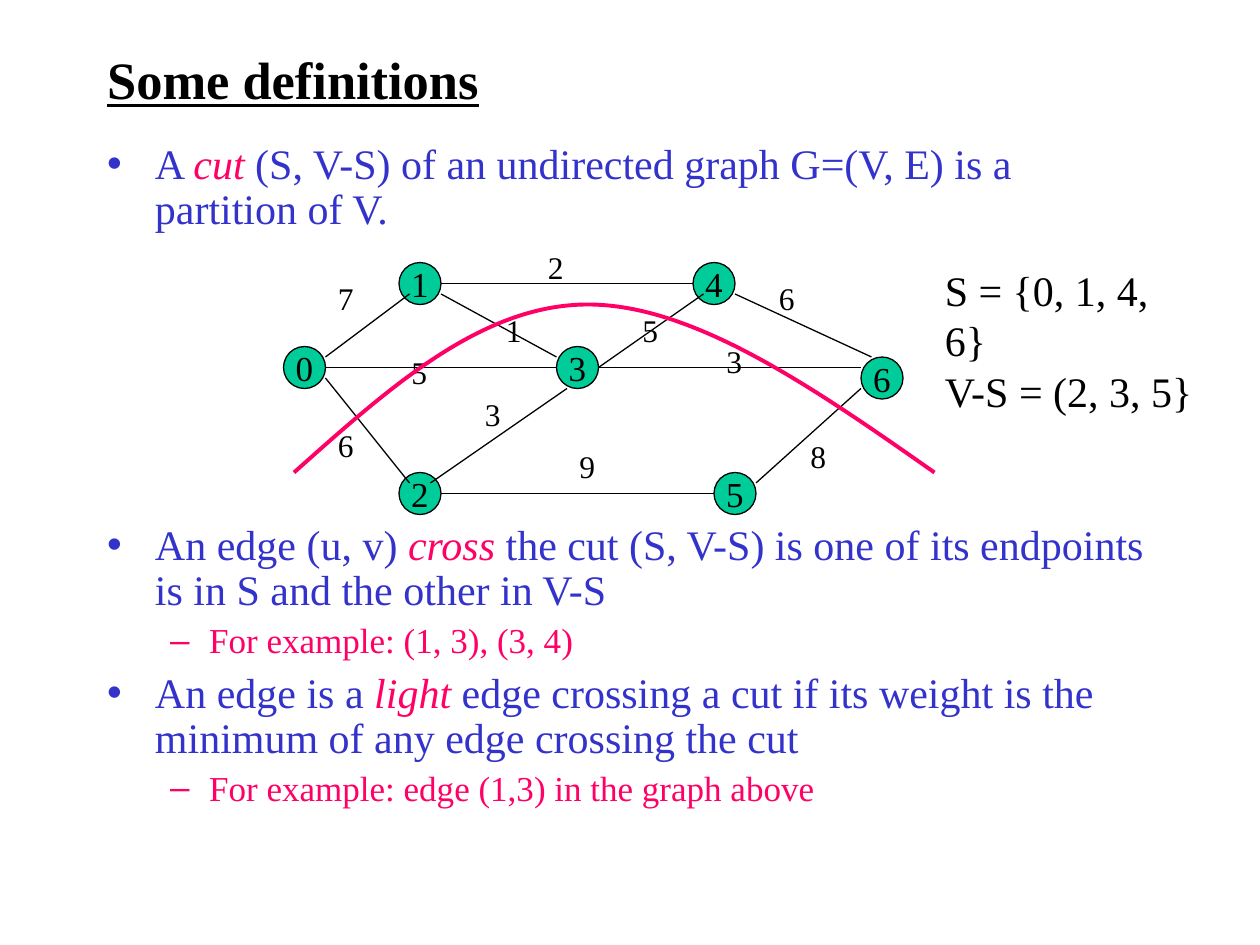
from dataclasses import dataclass

from lxml.etree import SubElement
from pptx import Presentation
from pptx.dml.color import RGBColor
from pptx.enum.shapes import MSO_CONNECTOR as CONN, MSO_SHAPE as SHAPE
from pptx.enum.text import MSO_ANCHOR as ANCHOR, MSO_AUTO_SIZE as FIT, PP_ALIGN as ALIGN
from pptx.oxml.ns import qn
from pptx.util import Inches, Pt

CELL = Inches(1) // 12  # the slide is a grid of 120 columns by 90 rows


@dataclass(frozen=True)
class Theme:
    font: str = "Times New Roman"
    ink: str = "000000"
    body: str = "3333CC"
    accent: str = "FF0066"
    node: str = "00CC99"
    title_size: int = 30
    body_size: int = 24
    sub_size: int = 20
    weight_size: int = 18
    thin: float = 0.75
    thick: float = 2.25


@dataclass(frozen=True)
class Box:
    """An area of the slide, in grid cells."""
    x: float
    y: float
    w: float
    h: float

    def inner(self, x, y, w, h):
        return Box(self.x + x, self.y + y, w, h)

    def point(self, x, y):
        return round((self.x + x) * CELL), round((self.y + y) * CELL)

    @property
    def emu(self):
        return tuple(round(v * CELL) for v in (self.x, self.y, self.w, self.h))


T = Theme()

NODE = 4  # diameter in cells
NODES = {"0": (0, 10), "1": (11, 2), "4": (39, 2), "3": (26, 10),
         "2": (11, 22), "5": (41, 22), "6": (55, 11)}

# start node, offset from its corner, end node, offset from its corner
EDGES = [
    ("0", (4, 1), "1", (1, 3)), ("0", (4, 3), "2", (1, 1)),
    ("0", (4, 2), "3", (0, 2)), ("2", (4, 2), "5", (0, 2)),
    ("1", (4, 2), "4", (0, 2)), ("1", (4, 3), "3", (0, 1)),
    ("3", (4, 2), "4", (1, 3)), ("2", (3, 1), "3", (1, 4)),
    ("3", (4, 2), "6", (0, 1)), ("4", (4, 3), "6", (1, 0)),
    ("5", (4, 1), "6", (0, 3)),
]

WEIGHTS = [("7", 4, 3), ("5", 11, 10), ("6", 4, 17), ("2", 24, 0),
           ("6", 46, 3), ("5", 33, 6), ("3", 41, 9), ("9", 27, 19),
           ("8", 49, 18), ("1", 20, 6), ("3", 18, 14)]

# start point, then two control points and an end point for each curve
CUT = [(1, 22), (10, 14), (18.8, 6), (29, 6), (39.1, 6), (50.6, 14), (62, 22)]

# level, space before, runs; accented words are marked True
DEFINITIONS = [
    (0, 0, [("A ", False), ("cut", True),
            (" (S, V-S) of an undirected graph G=(V, E) is a partition of V.", False)]),
    (0, 166, [("An edge (u, v) ", False), ("cross", True),
              (" the cut (S, V-S) is one of its endpoints is in S and the other in V-S", False)]),
    (1, 5, [("For example: (1, 3), (3, 4)", False)]),
    (0, 6, [("An edge is a ", False), ("light", True),
            (" edge crossing a cut if its weight is the minimum of any edge crossing the cut", False)]),
    (1, 5, [("For example: edge (1,3) in the graph above", False)]),
]


def place(sp, box):
    sp.left, sp.top, sp.width, sp.height = box.emu


def add_run(p, text, size, color=T.ink, **style):
    r = p.add_run()
    r.text = text
    r.font.name, r.font.size = T.font, Pt(size)
    r.font.color.rgb = RGBColor.from_string(color)
    for name, value in style.items():
        setattr(r.font, name, value)


def set_line(sp, color, width):
    sp.line.color.rgb = RGBColor.from_string(color)
    sp.line.width = Pt(width)


def set_bullet(p, char, color, margin, hang):
    pPr = p._p.get_or_add_pPr()
    pPr.set("marL", str(Inches(margin)))
    pPr.set("indent", str(-Inches(hang)))
    SubElement(SubElement(pPr, qn("a:buClr")), qn("a:srgbClr")).set("val", color)
    SubElement(pPr, qn("a:buChar")).set("char", char)


def add_title(slide, box, text):
    sp = slide.shapes.title
    place(sp, box)
    tf = sp.text_frame
    tf.auto_size, tf.vertical_anchor = FIT.NONE, ANCHOR.MIDDLE
    p = tf.paragraphs[0]
    p.alignment = ALIGN.LEFT
    add_run(p, text, T.title_size, bold=True, underline=True)


def add_definitions(slide, box):
    sp = slide.placeholders[1]
    place(sp, box)
    tf = sp.text_frame
    tf.auto_size = FIT.NONE
    levels = [("•", T.body, 0.38, 0.38, T.body_size),
              ("–", T.accent, 0.81, 0.31, T.sub_size)]
    for i, (level, before, runs) in enumerate(DEFINITIONS):
        p = tf.add_paragraph() if i else tf.paragraphs[0]
        char, color, margin, hang, size = levels[level]
        p.level = level
        set_bullet(p, char, color, margin, hang)
        p.line_spacing, p.space_before = 0.9, Pt(before)
        for text, accented in runs:
            add_run(p, text, size, T.accent if accented else color, italic=accented)


def add_label(slide, box, lines, size):
    tf = slide.shapes.add_textbox(*box.emu).text_frame
    tf.word_wrap, tf.auto_size = False, FIT.SHAPE_TO_FIT_TEXT
    for i, line in enumerate(lines):
        p = tf.add_paragraph() if i else tf.paragraphs[0]
        add_run(p, line, size)


def add_node(slide, box, name):
    sp = slide.shapes.add_shape(SHAPE.OVAL, *box.emu)
    sp.shadow.inherit = False
    sp.fill.solid()
    sp.fill.fore_color.rgb = RGBColor.from_string(T.node)
    set_line(sp, T.ink, T.thin)
    tf = sp.text_frame
    tf.word_wrap, tf.vertical_anchor = False, ANCHOR.MIDDLE
    p = tf.paragraphs[0]
    p.alignment = ALIGN.CENTER
    add_run(p, name, T.sub_size)


def add_edge(slide, start, end):
    sp = slide.shapes.add_connector(CONN.STRAIGHT, *start, *end)
    set_line(sp, T.ink, T.thin)
    SubElement(sp._element.spPr, qn("a:effectLst"))


def add_curve(slide, points):
    """Draw cubic curves by regrouping straight segments three at a time."""
    builder = slide.shapes.build_freeform(*points[0])
    builder.add_line_segments(points[1:], close=False)
    sp = builder.convert_to_shape()
    sp.shadow.inherit = False
    sp.fill.background()
    set_line(sp, T.accent, T.thick)
    path = next(sp._element.iter(qn("a:path")))
    segments = path.findall(qn("a:lnTo"))
    for i in range(0, len(segments), 3):
        curve = SubElement(path, qn("a:cubicBezTo"))
        for segment in segments[i:i + 3]:
            curve.append(segment[0])
            path.remove(segment)


def add_graph(slide, box):
    def port(node, offset):
        return box.point(*(a + b for a, b in zip(NODES[node], offset)))

    for name, (x, y) in NODES.items():
        add_node(slide, box.inner(x, y, NODE, NODE), name)
    for start, leave, end, arrive in EDGES:
        add_edge(slide, port(start, leave), port(end, arrive))
    for weight, x, y in WEIGHTS:
        add_label(slide, box.inner(x, y, 3.84, 4.8), [weight], T.weight_size)
    add_curve(slide, [box.point(*xy) for xy in CUT])


def main():
    prs = Presentation()
    prs.slide_width, prs.slide_height = 120 * CELL, 90 * CELL
    slide = prs.slides.add_slide(prs.slide_layouts[1])
    add_title(slide, Box(9, 4, 81, 7), "Some definitions")
    add_definitions(slide, Box(9, 13, 102, 67))
    add_graph(slide, Box(27, 23, 62, 26))
    add_label(slide, Box(88.8, 24.6, 26.6, 10.8),
              ["S = {0, 1, 4, 6}", "V-S = (2, 3, 5}"], T.body_size)
    prs.save("out.pptx")


if __name__ == "__main__":
    main()
